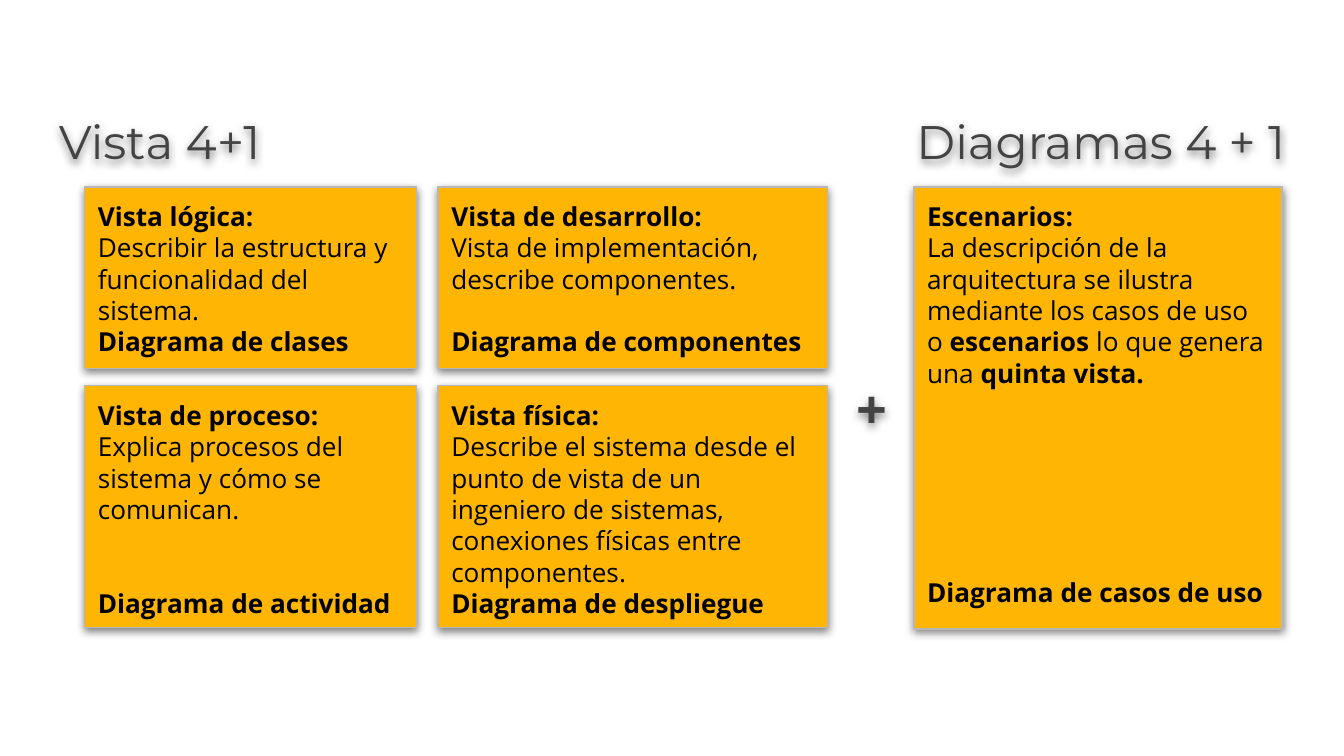
from lxml import etree
from pptx import Presentation
from pptx.dml.color import RGBColor
from pptx.enum.shapes import MSO_SHAPE
from pptx.enum.text import MSO_ANCHOR, PP_ALIGN
from pptx.oxml.ns import qn
from pptx.util import Inches, Pt

RECT = MSO_SHAPE.RECTANGLE
TOP, MIDDLE = MSO_ANCHOR.TOP, MSO_ANCHOR.MIDDLE
LEFT, CENTER, RIGHT = PP_ALIGN.LEFT, PP_ALIGN.CENTER, PP_ALIGN.RIGHT

# Grid in inches: (start, size)
COLS = [(0.63, 2.47), (3.26, 2.9), (6.8, 2.74)]
ROWS = [(1.39, 1.35), (2.87, 1.8)]
FULL = (1.39, 3.29)
HEAD = (0.74, 0.63)
LINE = 16.8  # line height of card text, in points

# Column, row, heading, body as (text, bold) parts, free lines, diagram
CARDS = [
    (0, ROWS[0], "Vista lógica:",
     [("Describir la estructura y funcionalidad del sistema.", False)],
     0, "Diagrama de clases"),
    (0, ROWS[1], "Vista de proceso:",
     [("Explica procesos del sistema y cómo se comunican.", False)],
     2, "Diagrama de actividad"),
    (1, ROWS[0], "Vista de desarrollo:",
     [("Vista de implementación, describe componentes.", False)],
     1, "Diagrama de componentes"),
    (1, ROWS[1], "Vista física:",
     [("Describe el sistema desde el punto de vista de un ingeniero de "
       "sistemas, conexiones físicas entre componentes.", False)],
     0, "Diagrama de despliegue"),
    (2, FULL, "Escenarios:",
     [("La descripción de la arquitectura se ilustra mediante los casos "
       "de uso o ", False), ("escenarios", True),
      (" lo que genera una ", False), ("quinta vista.", True)],
     6, "Diagrama de casos de uso"),
]


def color(code):
    return RGBColor.from_string(code)


def place(col, row):
    return [Inches(v) for v in (col[0], row[0], col[1], row[1])]


def shade(shape):
    """Add a soft shadow that falls straight down."""
    props = shape._element.spPr
    effects = props.find(qn("a:effectLst"))
    if effects is None:
        effects = etree.SubElement(props, qn("a:effectLst"))
    outer = etree.SubElement(effects, qn("a:outerShdw"), blurRad=str(Pt(4.5)),
                             dist=str(Pt(1.5)), dir="5400000",
                             algn="bl", rotWithShape="0")
    tint = etree.SubElement(outer, qn("a:srgbClr"), val="000000")
    etree.SubElement(tint, qn("a:alpha"), val="50000")


def setup(frame, anchor):
    frame.word_wrap = True
    frame.vertical_anchor = anchor
    frame.margin_left = frame.margin_right = Inches(0.1)
    frame.margin_top = frame.margin_bottom = Inches(0.1)


def style(run, face, size, code, bold=False):
    font = run.font
    font.name, font.size, font.bold = face, Pt(size), bold
    font.color.rgb = color(code)


def label(slide, col, row, text, face, size, align, anchor=TOP, bold=False):
    box = slide.shapes.add_textbox(*place(col, row))
    shade(box)
    setup(box.text_frame, anchor)
    par = box.text_frame.paragraphs[0]
    par.text, par.alignment = text, align
    style(par.runs[0], face, size, "434343", bold)


def card(slide, col, row, head, body, free, kind):
    box = slide.shapes.add_shape(RECT, *place(COLS[col], row))
    box.shadow.inherit = False
    box.fill.solid()
    box.fill.fore_color.rgb = color("FFB503")
    box.line.color.rgb = color("B7B7B7")
    box.line.width = Pt(0.75)
    shade(box)
    frame = box.text_frame
    setup(frame, TOP)
    for i, parts in enumerate([[(head, True)], body, [(kind, True)]]):
        par = frame.add_paragraph() if i else frame.paragraphs[0]
        par.alignment, par.line_spacing = LEFT, Pt(LINE)
        for text, bold in parts:
            run = par.add_run()
            run.text = text
            style(run, "Open Sans", 14, "000000", bold)
    # Push the diagram name down by the free lines
    if free:
        par.space_before = Pt(free * LINE)


def main():
    # Wide 16:9 slide
    deck = Presentation()
    deck.slide_width = Inches(10)
    deck.slide_height = deck.slide_width * 9 // 16
    slide = deck.slides.add_slide(deck.slide_layouts[6])

    # Headings
    label(slide, (0.34, 4.73), HEAD, "Vista 4+1", "Montserrat", 25.2, LEFT)
    label(slide, (5.07, 4.59), HEAD, "Diagramas 4 + 1", "Montserrat", 25.2,
          RIGHT)

    # Four views, plus the scenarios
    for item in CARDS:
        card(slide, *item)
    label(slide, (6.24, 0.49), FULL, "+", "Open Sans", 29, CENTER, MIDDLE,
          True)

    deck.save("out.pptx")


if __name__ == "__main__":
    main()
